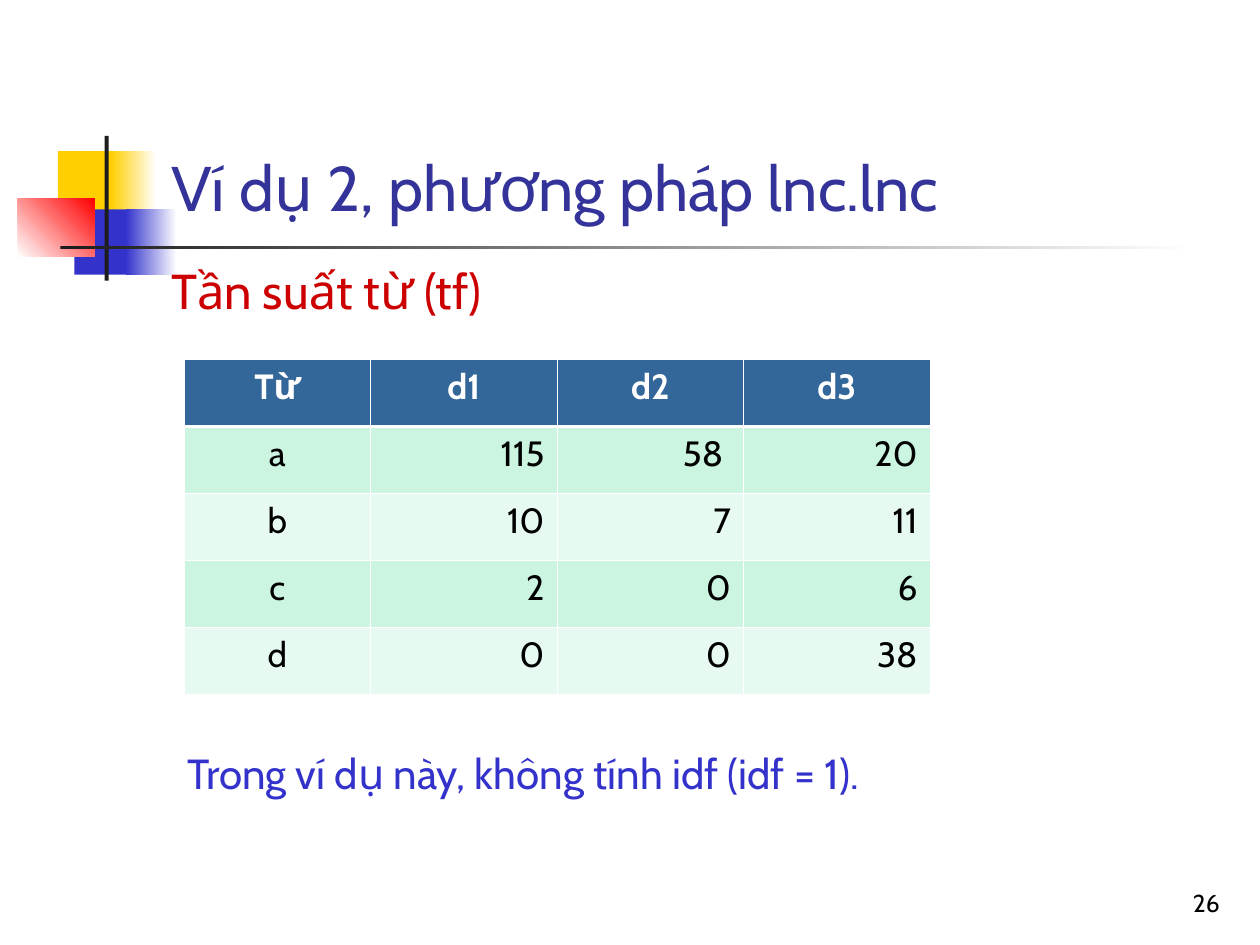
from pptx import Presentation
from pptx.dml.color import RGBColor
from pptx.enum.shapes import MSO_SHAPE
from pptx.enum.text import MSO_ANCHOR, MSO_AUTO_SIZE, PP_ALIGN
from pptx.oxml.ns import qn
from pptx.util import Cm, Pt
from lxml.etree import SubElement

FONT = "Cabin"
COLORS = {
    "white": "FFFFFF",
    "black": "000000",
    "yellow": "FFCF01",
    "blue": "3333CC",
    "red": "FF0000",
    "line": "1C1C1C",
    "title": "333399",
    "subtitle": "CC0000",
    "header": "336699",
    "odd_row": "CBF5E1",
    "even_row": "E7FAF1",
}
FREQUENCIES = [
    ["Từ", "d1", "d2", "d3"],
    ["a", "115", "58 ", "20"],
    ["b", "10", "7", "11"],
    ["c", "2", "0", "6"],
    ["d", "0", "0", "38"],
]
THIN, THICK = 0.45, 1.47


def rgb(name):
    return RGBColor.from_string(COLORS[name])


def write(frame, text, size, color, align=PP_ALIGN.LEFT, bold=False):
    frame.text = text
    paragraph = frame.paragraphs[0]
    paragraph.alignment = align
    font = paragraph.runs[0].font
    font.name = FONT
    font.size = Pt(size)
    font.bold = bold
    font.color.rgb = rgb(color)


def add_block(slide, box, start, end=None, angle=0):
    """Add a borderless rectangle, fading from start to end if end is given."""
    block = slide.shapes.add_shape(MSO_SHAPE.RECTANGLE, *map(Cm, box))
    block.shadow.inherit = False
    block.line.fill.background()
    if end is None:
        block.fill.solid()
        block.fill.fore_color.rgb = rgb(start)
        return
    block.fill.gradient()
    block.fill.gradient_angle = angle
    for stop, color in zip(block.fill.gradient_stops, (start, end)):
        stop.color.rgb = rgb(color)


def add_ornament(slide):
    add_block(slide, (1.17, 3.05, 1.22, 1.32), "yellow")
    add_block(slide, (2.24, 3.05, 0.91, 1.32), "yellow", "white")
    add_block(slide, (1.5, 4.22, 1.17, 1.32), "blue")
    add_block(slide, (2.54, 4.22, 1.02, 1.32), "blue", "white")
    add_block(slide, (0.36, 4.01, 1.55, 1.17), "white", "red", angle=45)
    add_block(slide, (2.11, 2.74, 0.08, 2.92), "line")
    add_block(slide, (1.22, 4.95, 22.86, 0.08), "line", "white")


def place_title(slide, text):
    title = slide.shapes.title
    title.left, title.top, title.width, title.height = map(Cm, (3.2, 0.58, 21.64, 4.06))
    frame = title.text_frame
    frame.vertical_anchor = MSO_ANCHOR.BOTTOM
    frame.auto_size = MSO_AUTO_SIZE.NONE
    write(frame, text, 36, "title")
    # Bring the title in front of the ornament
    slide.shapes._spTree.append(title._element)


def add_text(slide, box, text, size, color, align=PP_ALIGN.LEFT, anchor=MSO_ANCHOR.TOP):
    frame = slide.shapes.add_textbox(*map(Cm, box)).text_frame
    frame.word_wrap = True
    frame.vertical_anchor = anchor
    write(frame, text, size, color, align)


def set_borders(cell, top, bottom):
    properties = cell._tc.get_or_add_tcPr()
    for side, width in (("L", THIN), ("R", THIN), ("T", top), ("B", bottom)):
        line = SubElement(properties, qn(f"a:ln{side}"), w=str(Pt(width)))
        fill = SubElement(line, qn("a:solidFill"))
        SubElement(fill, qn("a:srgbClr"), val=COLORS["white"])


def add_frequency_table(slide):
    box = map(Cm, (3.71, 7.25, 15.04, 6.75))
    table = slide.shapes.add_table(len(FREQUENCIES), len(FREQUENCIES[0]), *box).table
    for r, values in enumerate(FREQUENCIES):
        header = r == 0
        row_fill = "header" if header else "odd_row" if r % 2 else "even_row"
        for c, value in enumerate(values):
            cell = table.cell(r, c)
            align = PP_ALIGN.CENTER if header or c == 0 else PP_ALIGN.RIGHT
            write(cell.text_frame, value, 20, "white" if header else "black", align, header)
            set_borders(cell, THICK if r == 1 else THIN, THICK if header else THIN)
            cell.fill.solid()
            cell.fill.fore_color.rgb = rgb(row_fill)


def main():
    deck = Presentation()
    deck.slide_width, deck.slide_height = Cm(25.4), Cm(19.05)
    slide = deck.slides.add_slide(deck.slide_layouts[5])
    add_ornament(slide)
    place_title(slide, "Ví dụ 2, phương pháp lnc.lnc")
    add_frequency_table(slide)
    add_text(slide, (3.2, 5.13, 10.54, 1.45), "Tần suất từ (tf)", 28, "subtitle")
    add_text(slide, (3.53, 14.94, 21, 1.27),
             "Trong ví dụ này, không tính idf (idf = 1).", 24, "blue")
    add_text(slide, (19.56, 17.35, 5.28, 1.27), "26", 14, "black",
             PP_ALIGN.RIGHT, MSO_ANCHOR.BOTTOM)
    deck.save("out.pptx")


if __name__ == "__main__":
    main()
